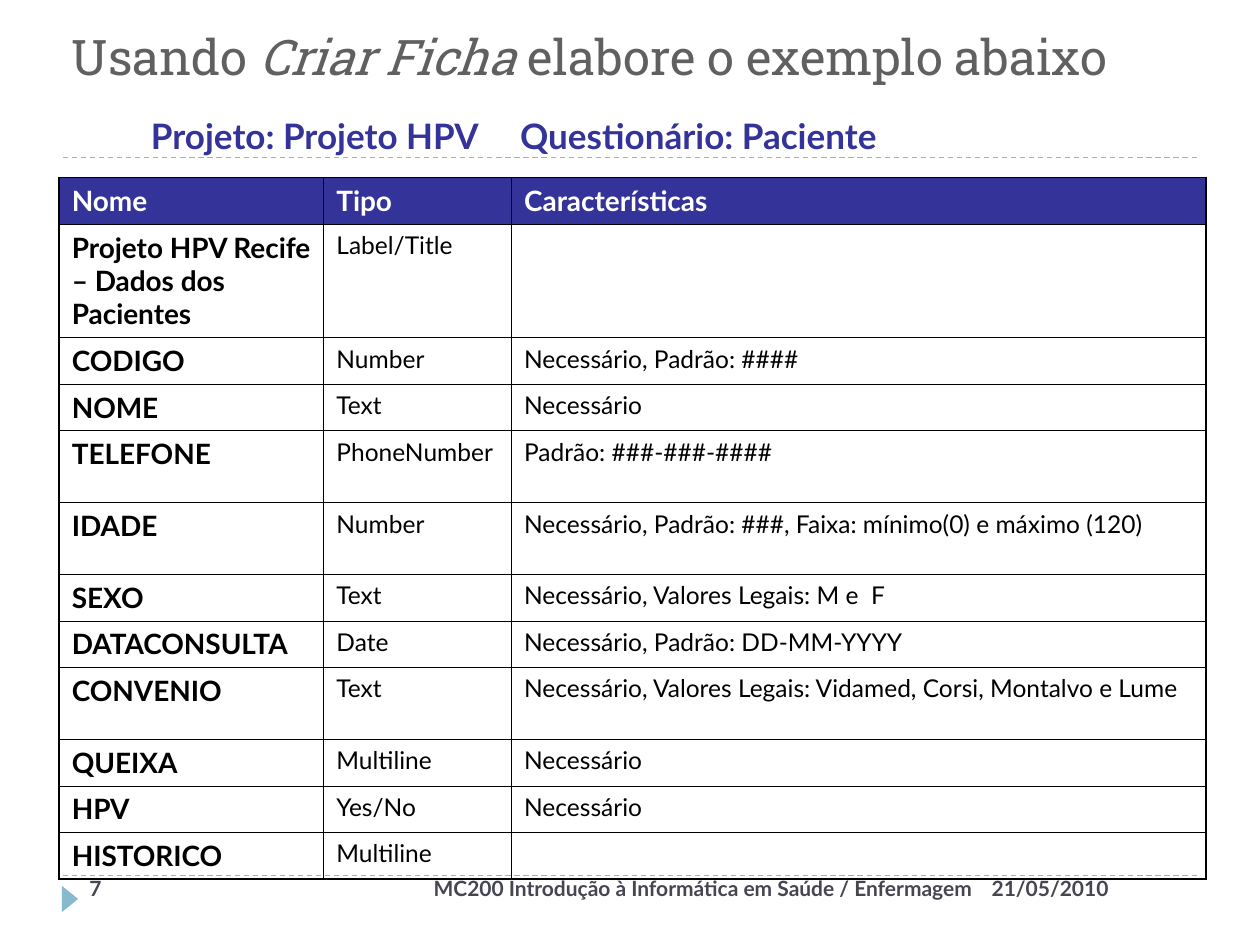
"""Build the slide that lists the fields of the patient questionnaire."""
from typing import NamedTuple

from lxml import etree
from pptx import Presentation
from pptx.dml.color import RGBColor
from pptx.enum.dml import MSO_LINE
from pptx.enum.shapes import MSO_CONNECTOR, MSO_SHAPE
from pptx.enum.text import MSO_ANCHOR, MSO_AUTO_SIZE, PP_ALIGN
from pptx.oxml.ns import qn
from pptx.util import Pt

PX = 9144
DASH = MSO_LINE.DASH
STRAIGHT = MSO_CONNECTOR.STRAIGHT
TRIANGLE = MSO_SHAPE.ISOSCELES_TRIANGLE
TOP = MSO_ANCHOR.TOP
FIXED = MSO_AUTO_SIZE.NONE
LEFT, RIGHT = PP_ALIGN.LEFT, PP_ALIGN.RIGHT

BODY_FONT, TITLE_FONT = "Lato", "Roboto Slab"
BLACK, WHITE, GREY = "000000", "FFFFFF", "606060"
INDIGO, SLATE, TEAL = "333399", "464653", "88BACD"
THIN, THICK = 0.45, 1.08


class Field(NamedTuple):
    name: str
    kind: str
    features: str
    height: int = 37


class Label(NamedTuple):
    text: str
    left: int
    top: int
    width: int
    height: int
    size: int
    color: str
    insets: tuple[int, int, int, int]
    align: PP_ALIGN = LEFT
    tab: int = 0


COLUMN_WIDTHS = (210, 149, 551)
FIELDS = (
    Field("Nome", "Tipo", "Características"),
    Field("Projeto HPV Recife – Dados dos Pacientes", "Label/Title", "", 90),
    Field("CODIGO", "Number", "Necessário, Padrão: ####"),
    Field("NOME", "Text", "Necessário"),
    Field("TELEFONE", "PhoneNumber", "Padrão: ###-###-####", 57),
    Field("IDADE", "Number", "Necessário, Padrão: ###, Faixa: mínimo(0) e máximo (120)", 57),
    Field("SEXO", "Text", "Necessário, Valores Legais: M e  F"),
    Field("DATACONSULTA", "Date", "Necessário, Padrão: DD-MM-YYYY"),
    Field("CONVENIO", "Text", "Necessário, Valores Legais: Vidamed, Corsi, Montalvo e Lume", 57),
    Field("QUEIXA", "Multiline", "Necessário"),
    Field("HPV", "Yes/No", "Necessário"),
    Field("HISTORICO", "Multiline", ""),
)
FOOTER_INSETS = (4, 0, 4, 0)
FOOTERS = (
    Label("21/05/2010", 783, 695, 168, 31, 12, SLATE, FOOTER_INSETS),
    Label("MC200 Introdução à Informática em Saúde / Enfermagem",
          250, 695, 526, 31, 12, SLATE, FOOTER_INSETS, RIGHT),
    Label("7", 67, 695, 168, 31, 12, SLATE, FOOTER_INSETS),
)
SUBTITLE = Label("Projeto: Projeto HPV\tQuestionário: Paciente",
                 110, 86, 937, 102, 20, INDIGO, (10, 5, 10, 5), tab=293)


def rgb(color: str) -> RGBColor:
    """Turn a hex string into a colour."""
    return RGBColor.from_string(color)


def write(paragraph, text: str, *, size: int, color: str, font: str = BODY_FONT,
          bold: bool = False, italic: bool = False) -> None:
    """Add one formatted run to a paragraph."""
    if not text:
        paragraph._p.get_or_add_endParaRPr().set("sz", str(size * 100))
        return
    run = paragraph.add_run()
    run.text = text
    run.font.name, run.font.size = font, Pt(size)
    run.font.bold, run.font.italic = bold, italic
    run.font.color.rgb = rgb(color)


def set_frame(frame, insets: tuple[int, int, int, int]) -> None:
    """Wrap a text frame and set its insets."""
    frame.word_wrap, frame.auto_size, frame.vertical_anchor = True, FIXED, TOP
    (frame.margin_left, frame.margin_top,
     frame.margin_right, frame.margin_bottom) = (inset * PX for inset in insets)


def add_label(slide, label: Label) -> None:
    """Draw a bold single-line text box."""
    box = slide.shapes.add_textbox(label.left * PX, label.top * PX,
                                   label.width * PX, label.height * PX)
    set_frame(box.text_frame, label.insets)
    paragraph = box.text_frame.paragraphs[0]
    paragraph.alignment = label.align
    if label.tab:
        tabs = etree.SubElement(paragraph._p.get_or_add_pPr(), qn("a:tabLst"))
        etree.SubElement(tabs, qn("a:tab"), pos=str(label.tab * PX), algn="l")
    write(paragraph, label.text, size=label.size, color=label.color, bold=True)


def add_rule(slide, y: int) -> None:
    """Draw a dashed horizontal rule."""
    rule = slide.shapes.add_connector(STRAIGHT, 50 * PX, y * PX, 950 * PX, y * PX)
    rule.line.color.rgb = rgb(TEAL)
    rule.line.width = Pt(0.75)
    rule.line.dash_style = DASH
    etree.SubElement(rule._element.spPr, qn("a:effectLst"))


def add_page_marker(slide) -> None:
    """Draw the triangle beside the page number."""
    marker = slide.shapes.add_shape(TRIANGLE, 45 * PX, 707 * PX, 21 * PX, 13 * PX)
    marker.rotation = 90
    marker.shadow.inherit = False
    marker.fill.solid()
    marker.fill.fore_color.rgb = rgb(TEAL)
    marker.line.fill.background()


def set_borders(cell, widths: dict[str, float]) -> None:
    """Give each side of a cell a black line, ahead of its fill."""
    properties = cell._tc.get_or_add_tcPr()
    for position, (side, width) in enumerate(widths.items()):
        line = etree.Element(qn(f"a:ln{side}"), w=str(Pt(width)))
        fill = etree.SubElement(line, qn("a:solidFill"))
        etree.SubElement(fill, qn("a:srgbClr"), val=BLACK)
        properties.insert(position, line)


def add_fields_table(slide) -> None:
    """Draw the table of questionnaire fields."""
    last_row, last_column = len(FIELDS) - 1, len(COLUMN_WIDTHS) - 1
    table = slide.shapes.add_table(
        len(FIELDS), len(COLUMN_WIDTHS), 47 * PX, 141 * PX, sum(COLUMN_WIDTHS) * PX,
        sum(field.height for field in FIELDS) * PX).table
    table.horz_banding = False
    for column, width in zip(table.columns, COLUMN_WIDTHS):
        column.width = width * PX
    for row, field in enumerate(FIELDS):
        table.rows[row].height = field.height * PX
        header = row == 0
        for column, text in enumerate((field.name, field.kind, field.features)):
            cell = table.cell(row, column)
            strong = header or column == 0
            write(cell.text_frame.paragraphs[0], text, size=16 if strong else 14,
                  color=WHITE if header else BLACK, bold=strong)
            if header:
                cell.fill.solid()
                cell.fill.fore_color.rgb = rgb(INDIGO)
            else:
                cell.fill.background()
            set_borders(cell, {
                "L": THICK if column == 0 else THIN,
                "R": THICK if column == last_column else THIN,
                "T": THICK if header else THIN,
                "B": THICK if row == last_row else THIN,
            })


def set_title(slide) -> None:
    """Place the title and set its middle words in italics."""
    title = slide.shapes.title
    title.left, title.top, title.width, title.height = 47 * PX, 16 * PX, 900 * PX, 57 * PX
    set_frame(title.text_frame, (10, 5, 14, 5))
    paragraph = title.text_frame.paragraphs[0]
    paragraph.alignment = LEFT
    for text, italic in (("Usando ", False), ("Criar Ficha ", True),
                         ("elabore o exemplo abaixo", False)):
        write(paragraph, text, size=28, color=GREY, font=TITLE_FONT, italic=italic)


def main() -> None:
    """Build and save the presentation."""
    presentation = Presentation()
    presentation.slide_width, presentation.slide_height = 1000 * PX, 750 * PX
    slide = presentation.slides.add_slide(presentation.slide_layouts[5])
    set_title(slide)
    for y in (125, 695):
        add_rule(slide, y)
    add_page_marker(slide)
    for footer in FOOTERS:
        add_label(slide, footer)
    add_fields_table(slide)
    add_label(slide, SUBTITLE)
    presentation.save("out.pptx")


if __name__ == "__main__":
    main()
